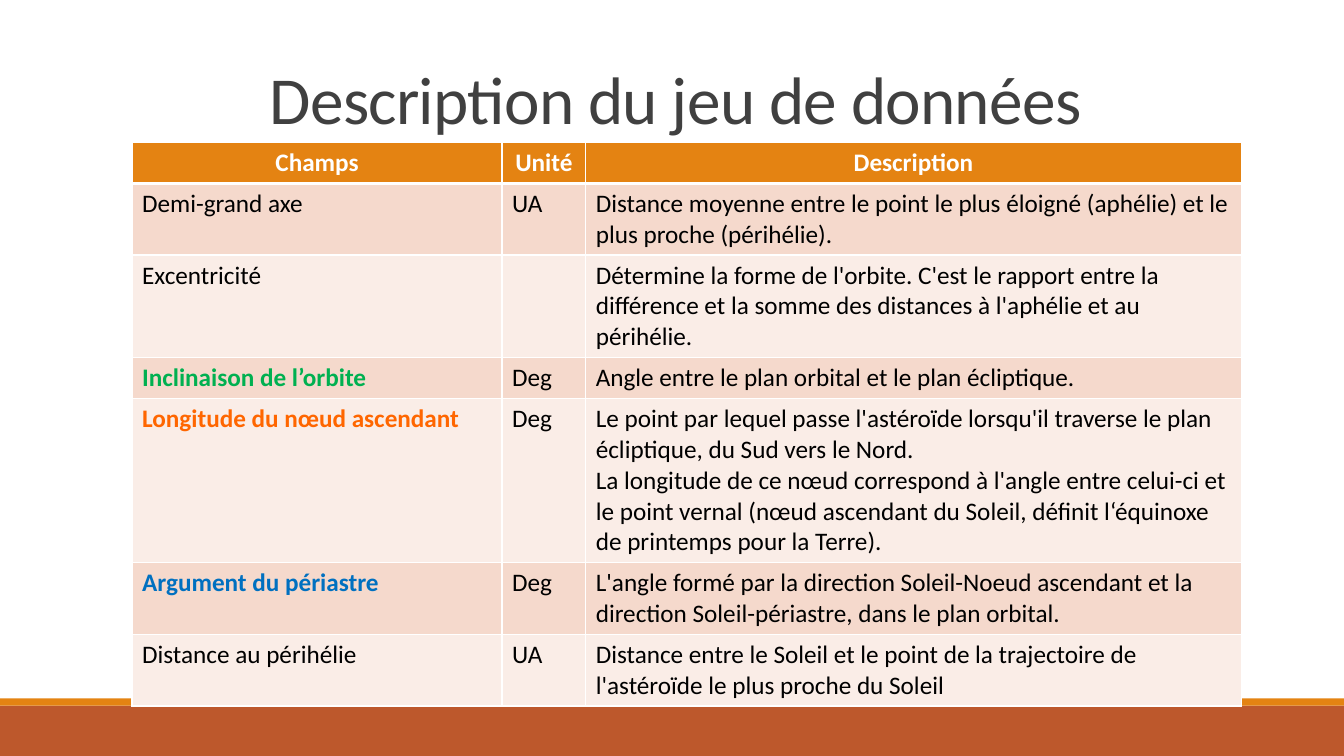
from dataclasses import dataclass

from lxml import etree
from pptx import Presentation
from pptx.dml.color import RGBColor
from pptx.enum.shapes import MSO_SHAPE
from pptx.enum.text import MSO_ANCHOR, MSO_AUTO_SIZE, PP_ALIGN
from pptx.oxml.ns import qn
from pptx.slide import Slide
from pptx.table import _Cell
from pptx.text.text import TextFrame
from pptx.util import Inches, Pt

RECT = MSO_SHAPE.RECTANGLE
LEFT = PP_ALIGN.LEFT
CENTER = PP_ALIGN.CENTER
BOTTOM = MSO_ANCHOR.BOTTOM
NO_FIT = MSO_AUTO_SIZE.NONE

FONT = "Calibri"
COLORS = {
    "white": "FFFFFF",
    "black": "000000",
    "title": "404040",
    "orange": "E48312",
    "rust": "BD582C",
    "odd": "F5D9CC",
    "even": "FAEDE7",
    "green": "00B050",
    "amber": "FF6600",
    "blue": "0070C0",
}


@dataclass
class Band:
    top: float
    height: float
    color: str


@dataclass
class Field:
    name: str
    unit: str
    text: str
    color: str = "black"


BANDS = [Band(7, 0.5, "rust"), Band(6.93, 0.07, "orange")]
HEADS = ["Champs", "Unité", "Description"]
WIDTHS = [3.67, 0.83, 6.5]
ROW_HEIGHT = 0.41
FIELDS = [
    Field("Demi-grand axe", "UA",
          "Distance moyenne entre le point le plus éloigné (aphélie) et le plus proche (périhélie)."),
    Field("Excentricité", "",
          "Détermine la forme de l'orbite. C'est le rapport entre la différence et la somme "
          "des distances à l'aphélie et au périhélie."),
    Field("Inclinaison de l’orbite", "Deg",
          "Angle entre le plan orbital et le plan écliptique.", "green"),
    Field("Longitude du nœud ascendant", "Deg",
          "Le point par lequel passe l'astéroïde lorsqu'il traverse le plan écliptique, "
          "du Sud vers le Nord.\n"
          "La longitude de ce nœud correspond à l'angle entre celui-ci et le point vernal "
          "(nœud ascendant du Soleil, définit l‘équinoxe de printemps pour la Terre).", "amber"),
    Field("Argument du périastre", "Deg",
          "L'angle formé par la direction Soleil-Noeud ascendant et la direction "
          "Soleil-périastre, dans le plan orbital.", "blue"),
    Field("Distance au périhélie", "UA",
          "Distance entre le Soleil et le point de la trajectoire de l'astéroïde "
          "le plus proche du Soleil"),
]


def rgb(name: str) -> RGBColor:
    return RGBColor.from_string(COLORS[name])


def write(frame: TextFrame, text: str, *, size: float = 18, color: str = "black",
          bold: bool = False, align: PP_ALIGN = LEFT, lines: float = 1,
          track: int = 0) -> None:
    frame.text = text
    for para in frame.paragraphs:
        para.alignment = align
        para.line_spacing = lines
        para.font.size = Pt(size)
        for run in para.runs:
            run.font.name = FONT
            run.font.size = Pt(size)
            run.font.bold = bold
            run.font.color.rgb = rgb(color)
            if track:
                run.font._element.set("spc", str(track))


def draw_band(slide: Slide, band: Band, width: int) -> None:
    shape = slide.shapes.add_shape(RECT, 0, Inches(band.top), width, Inches(band.height))
    shape.shadow.inherit = False
    shape.fill.solid()
    shape.fill.fore_color.rgb = rgb(band.color)
    shape.line.fill.background()


def edge(cell: _Cell, side: str, width: float) -> None:
    props = cell._tc.get_or_add_tcPr()
    line = etree.SubElement(props, qn(f"a:ln{side}"), w=str(Pt(width)))
    fill = etree.SubElement(line, qn("a:solidFill"))
    etree.SubElement(fill, qn("a:srgbClr"), val=COLORS["white"])


def style_cell(cell: _Cell, row: int) -> None:
    thick = {(0, "B"), (1, "T")}
    for side in "LRTB":
        edge(cell, side, 3 if (row, side) in thick else 1)
    cell.fill.solid()
    shade = "orange" if row == 0 else "odd" if row % 2 else "even"
    cell.fill.fore_color.rgb = rgb(shade)


def draw_table(slide: Slide) -> None:
    frame = slide.shapes.add_table(len(FIELDS) + 1, len(HEADS), Inches(1.31), Inches(1.41),
                                   Inches(sum(WIDTHS)), Inches(5.51))
    table = frame.table
    for col, width in zip(table.columns, WIDTHS):
        col.width = Inches(width)
    for index, row in enumerate(table.rows):
        row.height = Inches(ROW_HEIGHT)
        for cell in row.cells:
            style_cell(cell, index)
    frame.height = Inches(5.51)
    for col, head in enumerate(HEADS):
        write(table.cell(0, col).text_frame, head, color="white", bold=True, align=CENTER)
    for row, field in enumerate(FIELDS, 1):
        write(table.cell(row, 0).text_frame, field.name, color=field.color,
              bold=field.color != "black")
        write(table.cell(row, 1).text_frame, field.unit)
        write(table.cell(row, 2).text_frame, field.text)


def draw_title(slide: Slide) -> None:
    title = slide.shapes.title
    title.left, title.top = Inches(1.2), Inches(-0.17)
    title.width, title.height = Inches(11), Inches(1.59)
    frame = title.text_frame
    frame.auto_size = NO_FIT
    frame.word_wrap = True
    frame.vertical_anchor = BOTTOM
    write(frame, "Description du jeu de données", size=48, color="title",
          align=CENTER, lines=0.85, track=-50)


def main() -> None:
    deck = Presentation()
    deck.slide_width, deck.slide_height = Inches(13.33), Inches(7.5)
    slide = deck.slides.add_slide(deck.slide_layouts[5])
    for band in BANDS:
        draw_band(slide, band, deck.slide_width)
    draw_title(slide)
    draw_table(slide)
    deck.save("out.pptx")


if __name__ == "__main__":
    main()
